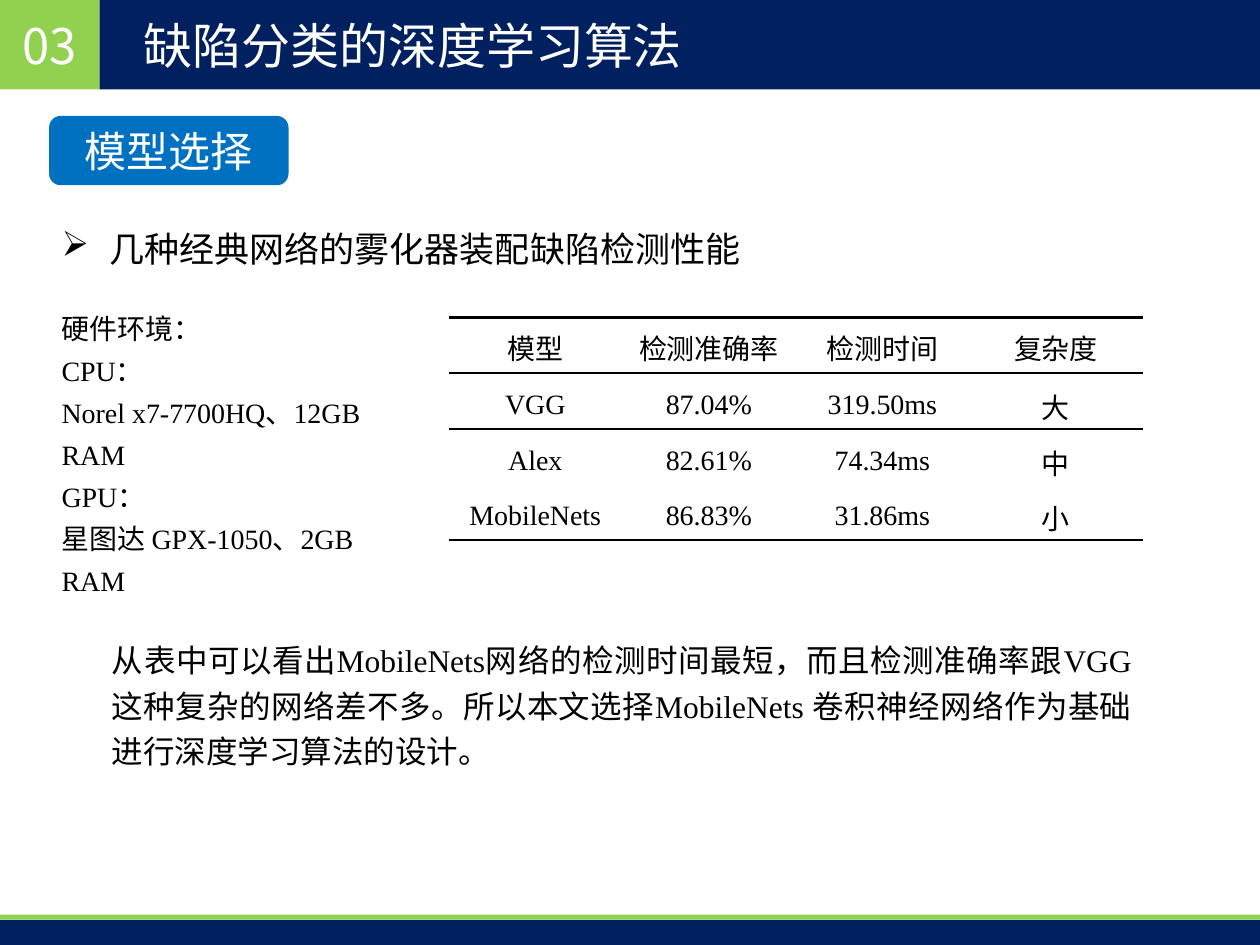
from pptx import Presentation
from pptx.dml.color import RGBColor
from pptx.enum.shapes import MSO_SHAPE
from pptx.enum.text import MSO_ANCHOR, PP_ALIGN
from pptx.oxml import parse_xml
from pptx.oxml.ns import nsdecls
from pptx.util import Inches, Pt

NAVY = RGBColor(0x00, 0x20, 0x60)
GREEN = RGBColor(0x92, 0xD0, 0x50)
BLUE = RGBColor(0x00, 0x70, 0xC0)
WHITE = RGBColor(0xFF, 0xFF, 0xFF)
BLACK = RGBColor(0x00, 0x00, 0x00)
SANS = "Noto Sans CJK SC"
SERIF = "Times New Roman"


def write(tf, lines, size, font, color, bullet=None, **formats):
    for i, line in enumerate(lines):
        p = tf.paragraphs[0] if i == 0 else tf.add_paragraph()
        for name, value in formats.items():
            setattr(p, name, value)
        if bullet:
            pPr = p._p.get_or_add_pPr()
            pPr.set("marL", str(Inches(0.38)))
            pPr.set("indent", str(Inches(-0.38)))
            pPr.append(parse_xml(f'<a:buChar {nsdecls("a")} char="{bullet}"/>'))
        r = p.add_run()
        r.text = line
        for name, value in {"size": Pt(size), "name": font, "bold": False}.items():
            setattr(r.font, name, value)
        r.font.color.rgb = color


def add_block(kind, box, color):
    sp = s.shapes.add_shape(kind, *map(Inches, box))
    sp.shadow.inherit = False
    sp.fill.solid()
    sp.fill.fore_color.rgb = color
    sp.line.fill.background()
    sp.text_frame.vertical_anchor = MSO_ANCHOR.MIDDLE
    return sp


prs = Presentation()
prs.slide_width, prs.slide_height = Inches(10), Inches(7.5)
s = prs.slides.add_slide(prs.slide_layouts[5])

number = add_block(MSO_SHAPE.RECTANGLE, (0, 0, 0.79, 0.71), GREEN)
write(number.text_frame, ["03"], 28, SANS, WHITE, alignment=PP_ALIGN.CENTER)
add_block(MSO_SHAPE.RECTANGLE, (0.79, 0, 9.21, 0.71), NAVY)
add_block(MSO_SHAPE.RECTANGLE, (0, 7.3, 10, 0.2), NAVY)
add_block(MSO_SHAPE.RECTANGLE, (0, 7.26, 10, 0.04), GREEN)

title = s.shapes.title
title.left, title.top, title.width, title.height = map(Inches, (1.04, 0, 8.03, 0.71))
title.text_frame.vertical_anchor = MSO_ANCHOR.MIDDLE
write(title.text_frame, ["缺陷分类的深度学习算法"], 28, SANS, WHITE,
      alignment=PP_ALIGN.LEFT)
s.shapes._spTree.append(title._element)

section = add_block(MSO_SHAPE.ROUNDED_RECTANGLE, (0.39, 0.92, 1.9, 0.55), BLUE)
write(section.text_frame, ["模型选择"], 24, SERIF, WHITE, alignment=PP_ALIGN.CENTER)

results = [
    ["模型", "检测准确率", "检测时间", "复杂度"],
    ["VGG", "87.04%", "319.50ms", "大"],
    ["Alex", "82.61%", "74.34ms", "中"],
    ["MobileNets", "86.83%", "31.86ms", "小"],
]
rules = [1.5, 1, 1, 0, 1.5]
table = s.shapes.add_table(4, 4, Inches(3.56), Inches(2.52),
                           Inches(5.51), Inches(1.77)).table
table.first_row = table.horz_banding = False
for i, row in enumerate(results):
    for j, value in enumerate(row):
        cell = table.cell(i, j)
        cell.fill.background()
        cell.margin_left = cell.margin_right = Inches(0.07)
        cell.margin_top = cell.margin_bottom = 0
        cell.vertical_anchor = MSO_ANCHOR.MIDDLE if i else MSO_ANCHOR.TOP
        write(cell.text_frame, [value], 16, SERIF, BLACK,
              alignment=PP_ALIGN.CENTER, line_spacing=1.25)
        borders = {"lnL": 0, "lnR": 0, "lnT": rules[i], "lnB": rules[i + 1]}
        for k, (tag, width) in enumerate(borders.items()):
            paint = (f'<a:solidFill><a:srgbClr val="{BLACK}"/></a:solidFill>'
                     if width else "<a:noFill/>")
            cell._tc.get_or_add_tcPr().insert(k, parse_xml(
                f'<a:{tag} {nsdecls("a")} w="{Pt(width)}">{paint}</a:{tag}>'))

texts = [
    ((0.79, 4.98, 8.29, 1.16), 18, True,
     ["从表中可以看出MobileNets网络的检测时间最短，而且检测准确率跟VGG这种复杂的网络差不多。"
      "所以本文选择MobileNets 卷积神经网络作为基础进行深度学习算法的设计。"],
     {"alignment": PP_ALIGN.JUSTIFY, "line_spacing": 1.2}),
    ((0.39, 1.59, 5.63, 0.54), 20, False,
     ["几种经典网络的雾化器装配缺陷检测性能"],
     {"bullet": "➢", "line_spacing": 1.5}),
    ((0.39, 2.36, 3.01, 2.09), 16, True,
     ["硬件环境：", "CPU：", "Norel x7-7700HQ、12GB RAM", "GPU：",
      "星图达 GPX-1050、2GB RAM"],
     {"line_spacing": 1.25}),
]
for box, size, wrap, lines, formats in texts:
    tf = s.shapes.add_textbox(*map(Inches, box)).text_frame
    tf.word_wrap = wrap
    write(tf, lines, size, SERIF, BLACK, **formats)

prs.save("out.pptx")
